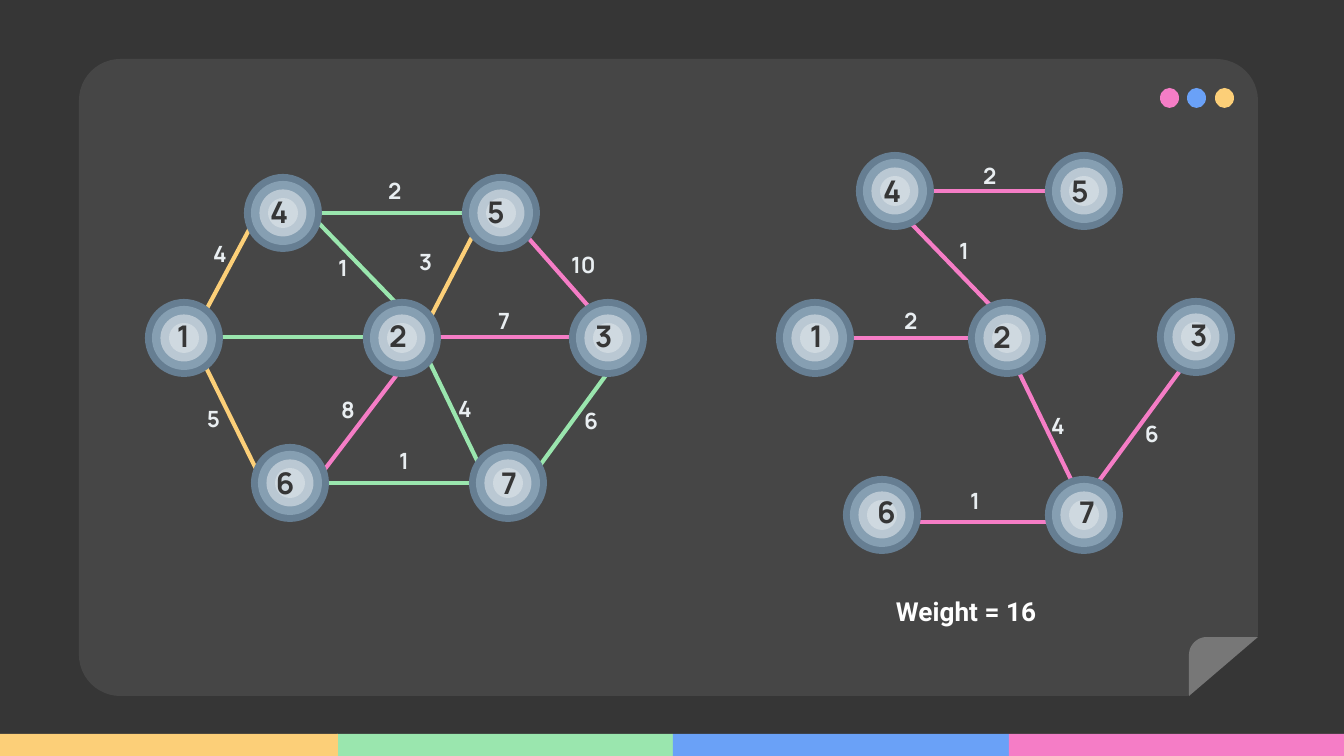
from dataclasses import dataclass
from math import cos, pi, sin

from lxml import etree
from pptx import Presentation
from pptx.dml.color import RGBColor
from pptx.enum.shapes import MSO_CONNECTOR, MSO_SHAPE
from pptx.oxml.ns import qn
from pptx.util import Pt

RECT, ROUND = MSO_SHAPE.RECTANGLE, MSO_SHAPE.ROUNDED_RECTANGLE
OVAL, TRIANGLE = MSO_SHAPE.OVAL, MSO_SHAPE.RIGHT_TRIANGLE
STRAIGHT = MSO_CONNECTOR.STRAIGHT
SCALE = 914400 / 134.4


@dataclass(frozen=True)
class Theme:
    back: str = "363636"
    panel: str = "464646"
    fold: str = "777777"
    yellow: str = "FCCF78"
    green: str = "9AE6AE"
    blue: str = "6AA1F7"
    pink: str = "F57DC6"
    label: str = "E9EEF1"
    white: str = "FFFFFF"
    font: str = "Manrope"
    caption_font: str = "Roboto"
    node_size: int = 16
    weight_size: int = 12
    caption_size: int = 14
    edge_width: float = 2.25


T = Theme()

# Content: bars are (left, width, colour), dots are (left, colour)
BARS = [(337, 336, T.green), (673, 336, T.blue), (1009, 336, T.pink), (0, 338, T.yellow)]
DOTS = [(1160, T.pink), (1187, T.blue), (1215, T.yellow)]
RINGS = [(78, "667E92"), (64, "869FB2"), (47, "BAC8D3"), (30, "CFD9E0")]

# Nodes: name, centre, left and top of the name's box
GRAPH_NODES = [
    ("4", 283, 213, 257, 181), ("2", 402, 338, 376, 305), ("6", 290, 483, 263, 452),
    ("5", 501, 213, 474, 181), ("3", 608, 338, 582, 305), ("7", 508, 483, 488, 452),
    ("1", 184, 338, 164, 305),
]
TREE_NODES = [
    ("1", 815, 338, 797, 305), ("2", 1007, 338, 980, 306), ("4", 895, 191, 870, 160),
    ("5", 1084, 191, 1058, 160), ("7", 1084, 515, 1066, 481), ("6", 882, 515, 864, 481),
    ("3", 1196, 337, 1177, 304),
]

# Edges: start, end, colour, weight, left and top of the weight's box
GRAPH_EDGES = [
    ((309, 213), (474, 213), T.green, "2", 375, 164),
    ((329, 483), (495, 483), T.green, "1", 386, 434),
    ((516, 224), (597, 316), T.pink, "10", 558, 238),
    ((511, 505), (634, 337), T.green, "6", 571, 394),
    ((191, 337), (263, 483), T.yellow, "5", 194, 392),
    ((191, 337), (376, 337), T.green, "", 0, 0),
    ((204, 314), (257, 215), T.yellow, "4", 200, 227),
    ((290, 515), (402, 368), T.pink, "8", 328, 383),
    ((309, 213), (429, 337), T.green, "1", 325, 241),
    ((488, 483), (402, 305), T.green, "4", 445, 382),
    ((501, 181), (425, 328), T.yellow, "3", 406, 235),
    ((582, 337), (429, 337), T.pink, "7", 485, 294),
]
TREE_EDGES = [
    ((1071, 519), (1196, 349), T.pink, "6", 1132, 407),
    ((902, 522), (1067, 522), T.pink, "1", 957, 474),
    ((1081, 500), (995, 323), T.pink, "4", 1038, 399),
    ((902, 191), (1067, 191), T.pink, "2", 970, 149),
    ((902, 214), (1021, 337), T.pink, "1", 946, 224),
    ((824, 338), (1009, 338), T.pink, "2", 891, 294),
]
CAPTION = "Weight = 16"


def px(n):
    return round(n * SCALE)


def rgb(value):
    return RGBColor.from_string(value)


def paint(sp, color):
    sp.shadow.inherit = False
    sp.fill.solid()
    sp.fill.fore_color.rgb = rgb(color)
    sp.line.fill.background()


def add_shape(shapes, kind, x, y, w, h, color):
    sp = shapes.add_shape(kind, px(x), px(y), px(w), px(h))
    paint(sp, color)
    return sp


def add_text(shapes, text, x, y, w, h, size, color, font=T.font):
    tf = shapes.add_textbox(px(x), px(y), px(w), px(h)).text_frame
    tf.word_wrap = True
    tf.margin_left = tf.margin_right = tf.margin_top = tf.margin_bottom = px(13)
    p = tf.paragraphs[0]
    p.text = text
    p.font.name, p.font.size, p.font.bold = font, Pt(size), True
    p.font.color.rgb = rgb(color)


def add_edge(shapes, start, end, color):
    line = shapes.add_connector(STRAIGHT, *map(px, start + end))
    line.line.color.rgb = rgb(color)
    line.line.width = Pt(T.edge_width)
    etree.SubElement(line._element.spPr, qn("a:effectLst"))


def add_node(shapes, cx, cy):
    group = shapes.add_group_shape()
    for size, color in RINGS:
        add_shape(group.shapes, OVAL, cx - size / 2, cy - size / 2, size, size, color)


def add_fold(shapes, x, y, w, h, radius):
    # Paper corner: cut away the panel, with the turned flap above the cut
    cut = add_shape(shapes, TRIANGLE, x, y, w, h, T.back)
    cut._element.spPr.xfrm.set("flipH", "1")
    cut.line.color.rgb = rgb(T.back)
    cut.line.width = Pt(0.75)
    angles = [i * pi / 24 for i in range(13)]
    arc = [(x + radius * (1 - sin(a)), y + radius * (1 - cos(a))) for a in angles]
    flap = shapes.build_freeform(px(x + w), px(y), scale=1.0)
    flap.add_line_segments([(px(a), px(b)) for a, b in arc + [(x, y + h)]])
    paint(flap.convert_to_shape(), T.fold)


def main():
    prs = Presentation()
    prs.slide_width, prs.slide_height = px(1344), px(756)
    s = prs.slides.add_slide(prs.slide_layouts[6])
    s.background.fill.solid()
    s.background.fill.fore_color.rgb = rgb(T.back)
    shapes = s.shapes

    # Bottom bars, panel and window dots
    for x, w, color in BARS:
        add_shape(shapes, RECT, x, 734, w, 23, color)
    panel = add_shape(shapes, ROUND, 79, 59, 1179, 637, T.panel)
    panel.adjustments[0] = 0.065
    for x, color in DOTS:
        add_shape(shapes, OVAL, x, 88, 19, 20, color)
    add_fold(shapes, 1189, 637, 69, 59, 18)

    # Graph and its spanning tree: edges, nodes, then text on top
    edges, nodes = GRAPH_EDGES + TREE_EDGES, GRAPH_NODES + TREE_NODES
    for start, end, color, *_ in edges:
        add_edge(shapes, start, end, color)
    for name, cx, cy, x, y in nodes:
        add_node(shapes, cx, cy)
        add_text(shapes, name, x, y, 52, 63, T.node_size, T.back)
    for *_, weight, x, y in edges:
        if weight:
            add_text(shapes, weight, x, y, 52, 54, T.weight_size, T.label)
    add_text(shapes, CAPTION, 883, 582, 176, 59, T.caption_size, T.white, T.caption_font)

    prs.save("out.pptx")


if __name__ == "__main__":
    main()
